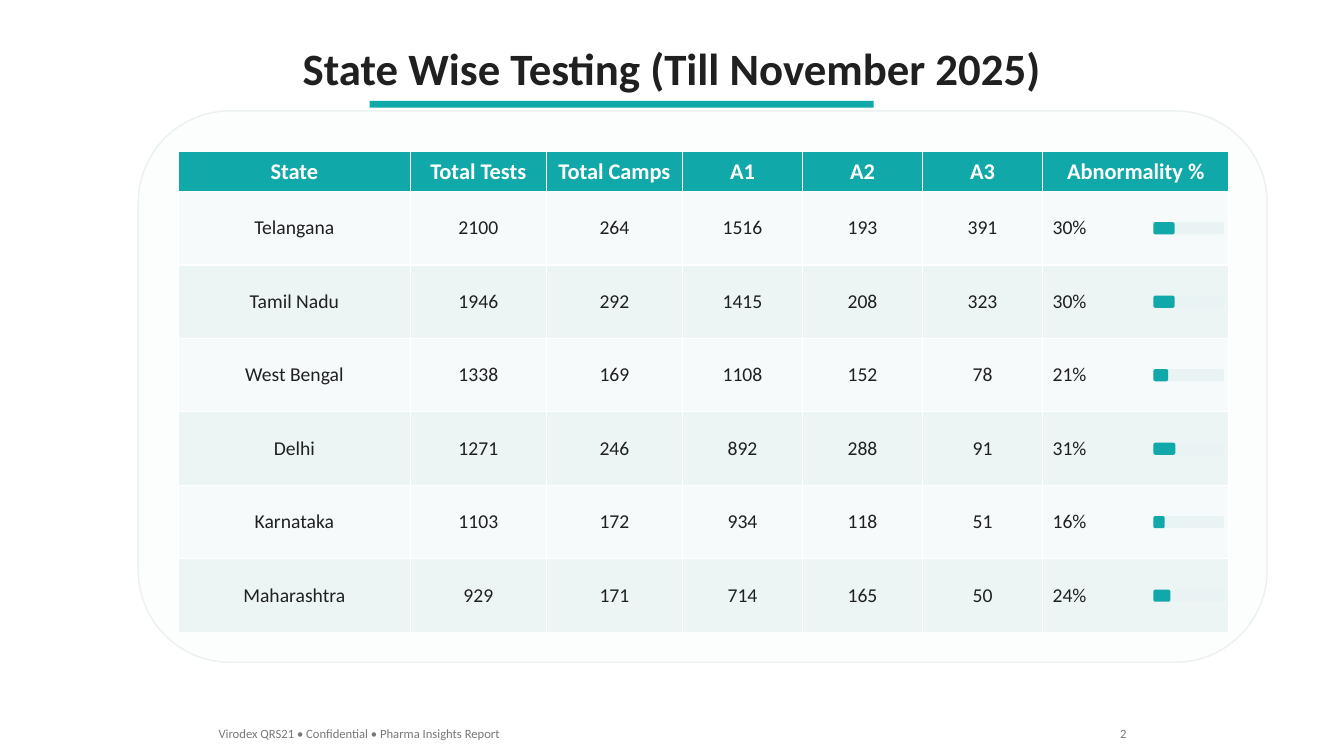
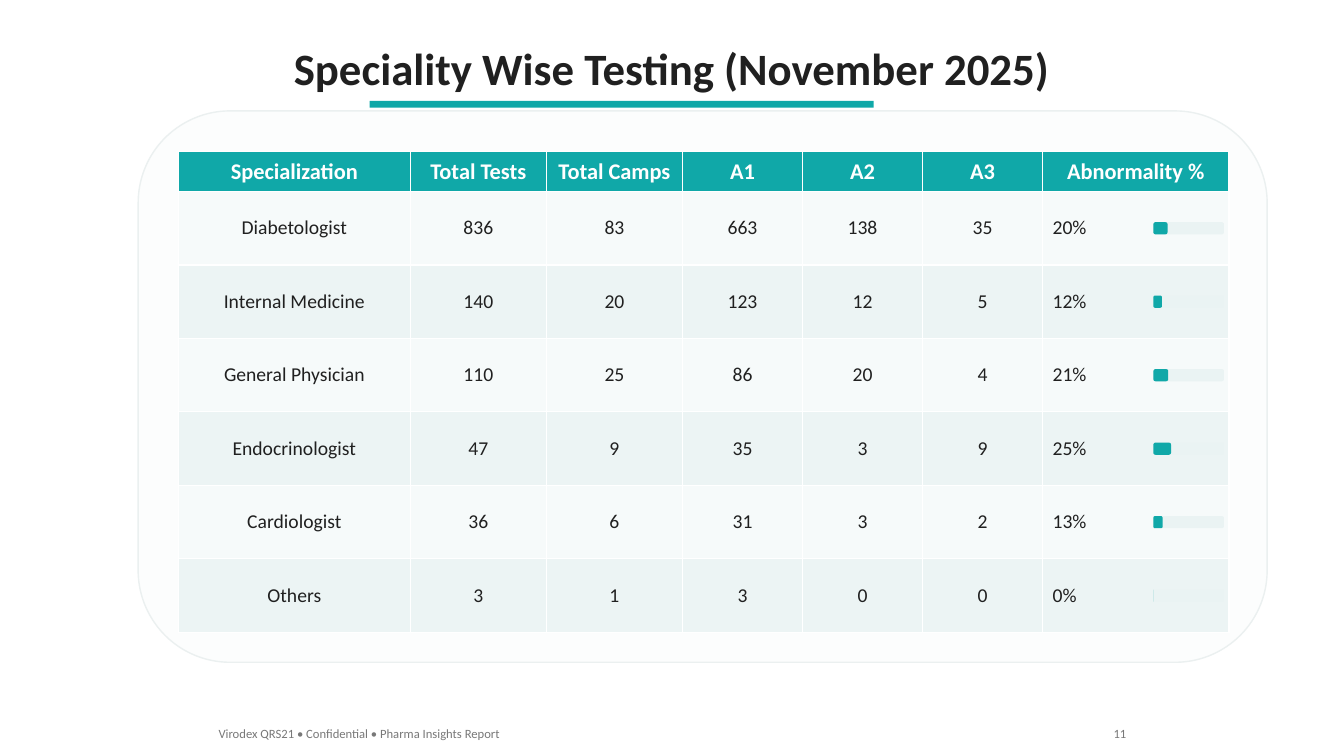
from pptx import Presentation
from pptx import util as u
from pptx.dml.color import RGBColor
from pptx.enum import shapes, text

TEAL = RGBColor(0x10, 0xA8, 0xA8)
INK = RGBColor(0x20, 0x20, 0x20)
GREY = RGBColor(0x78, 0x78, 0x78)
WHITE = RGBColor(0xFF, 0xFF, 0xFF)
PANEL = RGBColor(0xFC, 0xFD, 0xFD)
PANEL_EDGE = RGBColor(0xEB, 0xF0, 0xF0)
TRACK = RGBColor(0xEA, 0xF3, 0xF3)
STRIPES = (RGBColor(0xF6, 0xFA, 0xFA), RGBColor(0xEC, 0xF4, 0xF4))

FONT = "Calibri"
WIDTH, HEIGHT = u.Inches(13.33), u.Inches(7.5)
LEFT, CENTER, RIGHT = text.PP_ALIGN.LEFT, text.PP_ALIGN.CENTER, text.PP_ALIGN.RIGHT
RECT, ROUNDED = shapes.MSO_SHAPE.RECTANGLE, shapes.MSO_SHAPE.ROUNDED_RECTANGLE

# Percent of the slide's width or height
TABLE_LEFT, TABLE_TOP = 13.28, 20
HEADER_ROW, BODY_ROW = 5.33, 9.72
COLUMNS = (17.25, 10.13, 10.13, 8.93, 8.93, 8.93, 13.88)
BAR_LEFT, BAR_WIDTH, BAR_HEIGHT = 85.82, 5.25, 1.6
FOOTER_TOP, FOOTER_HEIGHT, FOOTER_RIGHT = 95.33, 3.33, 84.55

MEASURES = ("Total Tests", "Total Camps", "A1", "A2", "A3", "Abnormality %")
FOOTER = "Virodex QRS21 • Confidential • Pharma Insights Report"

STATES = (
    ("Telangana", 2100, 264, 1516, 193, 391, 30),
    ("Tamil Nadu", 1946, 292, 1415, 208, 323, 30),
    ("West Bengal", 1338, 169, 1108, 152, 78, 21),
    ("Delhi", 1271, 246, 892, 288, 91, 31),
    ("Karnataka", 1103, 172, 934, 118, 51, 16),
    ("Maharashtra", 929, 171, 714, 165, 50, 24),
)
SPECIALITIES = (
    ("Diabetologist", 836, 83, 663, 138, 35, 20),
    ("Internal Medicine", 140, 20, 123, 12, 5, 12),
    ("General Physician", 110, 25, 86, 20, 4, 21),
    ("Endocrinologist", 47, 9, 35, 3, 9, 25),
    ("Cardiologist", 36, 6, 31, 3, 2, 13),
    ("Others", 3, 1, 3, 0, 0, 0),
)


def across(percent):
    return round(WIDTH * percent / 100)


def down(percent):
    return round(HEIGHT * percent / 100)


def area(left, top, width, height):
    return across(left), down(top), across(width), down(height)


def write(frame, words, size, color, align, bold=False):
    paragraph = frame.paragraphs[0]
    paragraph.text = words
    paragraph.alignment = align
    paragraph.font.name = FONT
    paragraph.font.size = u.Pt(size)
    paragraph.font.bold = bold
    paragraph.font.color.rgb = color


def add_label(slide, place, words, size, color, align, bold=False):
    frame = slide.shapes.add_textbox(*area(*place)).text_frame
    frame.word_wrap = False
    frame.auto_size = text.MSO_AUTO_SIZE.SHAPE_TO_FIT_TEXT
    write(frame, words, size, color, align, bold)


def add_block(slide, preset, place, fill, edge=None):
    block = slide.shapes.add_shape(preset, *area(*place))
    block.shadow.inherit = False
    block.fill.solid()
    block.fill.fore_color.rgb = fill
    if edge is None:
        block.line.fill.background()
    else:
        block.line.color.rgb = edge
        block.line.width = u.Pt(1)


def fill_cell(cell, words, size, color, align, fill, bold=False):
    cell.fill.solid()
    cell.fill.fore_color.rgb = fill
    cell.vertical_anchor = text.MSO_ANCHOR.MIDDLE
    write(cell.text_frame, words, size, color, align, bold)


def add_results(slide, category, records):
    place = (TABLE_LEFT, TABLE_TOP, sum(COLUMNS), HEADER_ROW + BODY_ROW * len(records))
    results = slide.shapes.add_table(len(records) + 1, len(COLUMNS), *area(*place)).table
    for column, share in zip(results.columns, COLUMNS):
        column.width = across(share)
    for index, row in enumerate(results.rows):
        row.height = down(BODY_ROW if index else HEADER_ROW)
    for cell, heading in zip(results.rows[0].cells, (category, *MEASURES)):
        fill_cell(cell, heading, 16, WHITE, CENTER, TEAL, True)
    for index, (*counts, rate) in enumerate(records):
        cells = results.rows[index + 1].cells
        stripe = STRIPES[index % 2]
        for cell, count in zip(cells, counts):
            fill_cell(cell, str(count), 14, INK, CENTER, stripe)
        fill_cell(cells[len(counts)], f"{rate}%", 14, INK, LEFT, stripe)


def add_rate_bars(slide, records):
    first = TABLE_TOP + HEADER_ROW + (BODY_ROW - BAR_HEIGHT) / 2
    for index, record in enumerate(records):
        top = first + index * BODY_ROW
        for percent, fill in ((100, TRACK), (record[-1], TEAL)):
            width = BAR_WIDTH * percent / 100
            add_block(slide, ROUNDED, (BAR_LEFT, top, width, BAR_HEIGHT), fill)


def add_footer(slide, number):
    add_label(slide, (15.52, FOOTER_TOP, 22.88, FOOTER_HEIGHT), FOOTER, 9, GREY, LEFT)
    width = 1.58 + 0.45 * len(number)
    place = (FOOTER_RIGHT - width, FOOTER_TOP, width, FOOTER_HEIGHT)
    add_label(slide, place, number, 9, GREY, RIGHT)


def add_report(deck, title, title_width, category, records, number):
    slide = deck.slides.add_slide(deck.slide_layouts[6])
    place = ((100 - title_width) / 2, 4.67, title_width, 8.53)
    add_label(slide, place, title, 32, INK, CENTER, True)
    add_block(slide, RECT, (27.5, 13.33, 37.5, 0.93), TEAL)
    add_block(slide, ROUNDED, (10.28, 14.67, 84, 72.93), PANEL, PANEL_EDGE)
    add_results(slide, category, records)
    add_rate_bars(slide, records)
    add_footer(slide, number)


def main():
    deck = Presentation()
    deck.slide_width, deck.slide_height = WIDTH, HEIGHT
    add_report(deck, "State Wise Testing (Till November 2025)", 57, "State", STATES, "2")
    add_report(deck, "Speciality Wise Testing (November 2025)", 58.3,
               "Specialization", SPECIALITIES, "11")
    deck.save("out.pptx")


if __name__ == "__main__":
    main()
